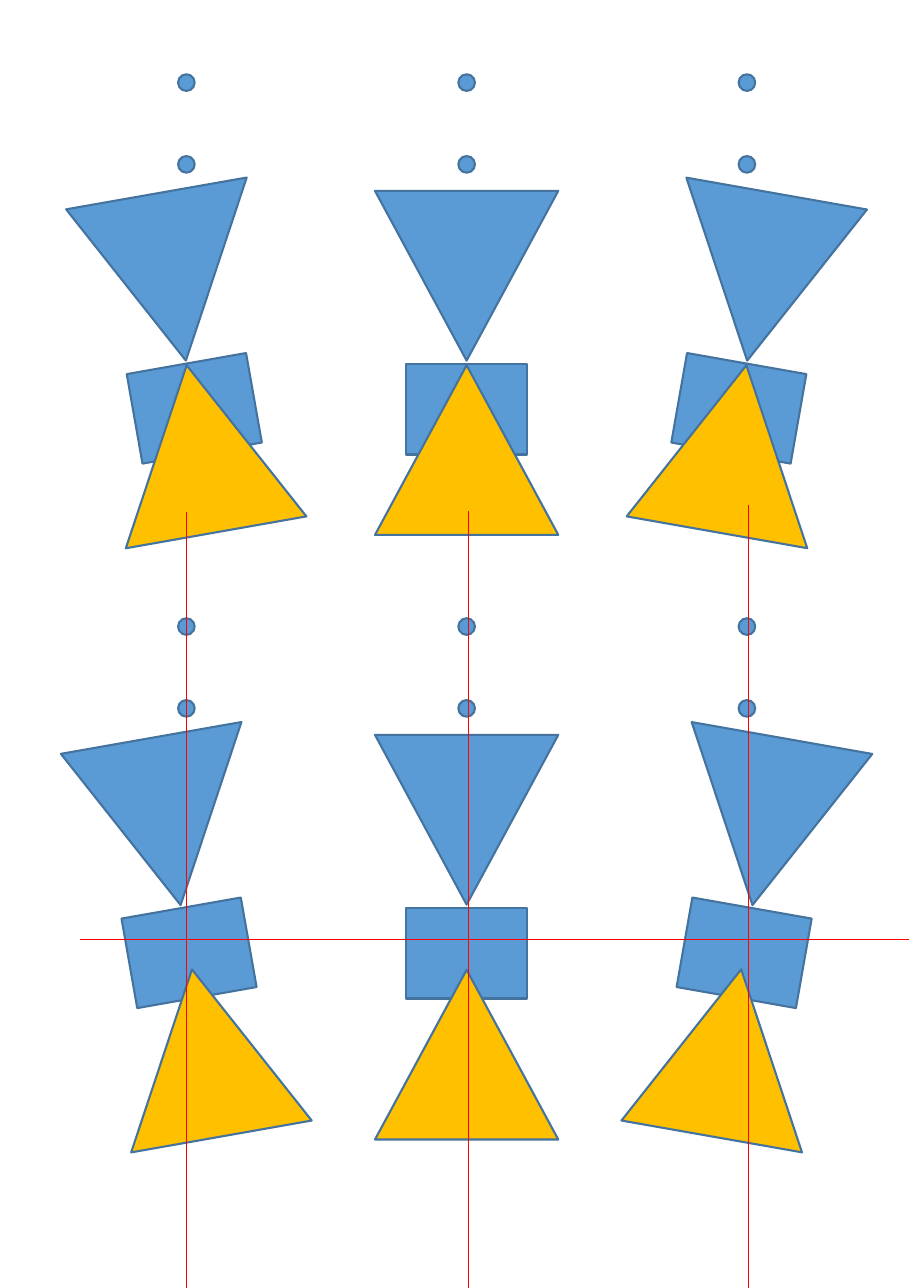
from lxml.etree import SubElement
from pptx import Presentation
from pptx.dml.color import RGBColor
from pptx.enum.shapes import MSO_CONNECTOR, MSO_SHAPE
from pptx.oxml.ns import qn
from pptx.util import Inches, Pt

BLUE, GOLD, OUTLINE, RED = "5B9BD5", "FFC000", "43739E", "FF0000"

# Three columns tilted to the left, upright and to the right
COLUMN_CENTERS = [1.23 + 1.85 * column for column in range(3)]
TILTS = (-10, 0, 10)
# Each row: its top, and how far the gold triangle lies below that top
ROWS = ((0.49, 1.92), (4.08, 2.32))
TRIANGLE_WIDTH, TRIANGLE_HEIGHT = 1.21, 1.12
DOT = 0.11
GUIDE_LENGTH = 5.8


def color(hex_text):
    return RGBColor.from_string(hex_text)


def add_figure(shapes, kind, center, top, width, height, fill):
    figure = shapes.add_shape(kind, Inches(center - width / 2), Inches(top),
                              Inches(width), Inches(height))
    figure.shadow.inherit = False
    figure.fill.solid()
    figure.fill.fore_color.rgb = color(fill)
    figure.line.color.rgb = color(OUTLINE)
    figure.line.width = Pt(1)
    return figure


def add_column(page, center, top, gold_drop, tilt):
    # Two dots above the figure
    for drop in (0, 0.54):
        add_figure(page.shapes, MSO_SHAPE.OVAL, center, top + drop, DOT, DOT, BLUE)

    # Hourglass, tilted as one group around its middle
    hourglass = page.shapes.add_group_shape()
    upper = add_figure(hourglass.shapes, MSO_SHAPE.ISOSCELES_TRIANGLE, center,
                       top + 0.77, TRIANGLE_WIDTH, TRIANGLE_HEIGHT, BLUE)
    upper._element.spPr.find(qn("a:xfrm")).set("flipV", "1")
    add_figure(hourglass.shapes, MSO_SHAPE.RECTANGLE, center, top + 1.91, 0.8, 0.6, BLUE)
    add_figure(hourglass.shapes, MSO_SHAPE.ISOSCELES_TRIANGLE, center,
               top + gold_drop, TRIANGLE_WIDTH, TRIANGLE_HEIGHT, GOLD)
    hourglass.rotation = tilt


def add_guide(page, left, top, width=0, height=0):
    guide = page.shapes.add_connector(
        MSO_CONNECTOR.STRAIGHT, Inches(left), Inches(top),
        Inches(left + width), Inches(top + height))
    guide.line.color.rgb = color(RED)
    guide.line.width = Pt(0.5)
    SubElement(guide._element.spPr, qn("a:effectLst"))


def main():
    deck = Presentation()
    deck.slide_width, deck.slide_height = Inches(6), Inches(8.5)
    page = deck.slides.add_slide(deck.slide_layouts[6])

    # Grid of hourglasses
    for top, gold_drop in ROWS:
        for center, tilt in zip(COLUMN_CENTERS, TILTS):
            add_column(page, center, top, gold_drop, tilt)

    # Guide lines, running on past the slide's edge
    add_guide(page, 0.53, 6.2, width=GUIDE_LENGTH)
    for left, top in ((1.23, 3.38), (3.09, 3.37), (4.94, 3.33)):
        add_guide(page, left, top, height=GUIDE_LENGTH)

    deck.save("out.pptx")


if __name__ == "__main__":
    main()
